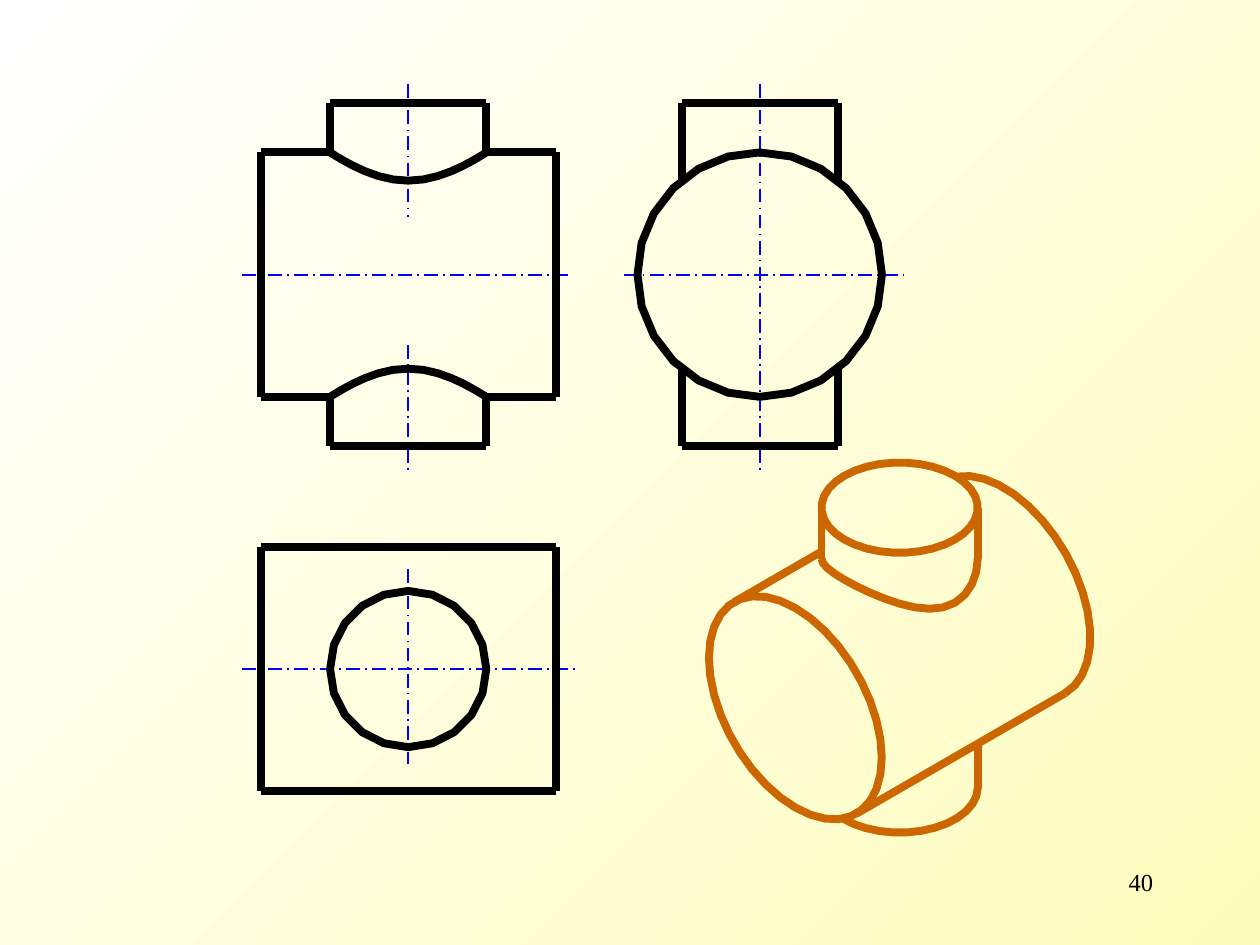
from math import cos, pi, radians, sin, sqrt

from pptx import Presentation
from pptx.dml.color import RGBColor
from pptx.enum.dml import MSO_LINE
from pptx.enum.shapes import MSO_CONNECTOR
from pptx.enum.text import PP_ALIGN
from pptx.oxml.xmlchemy import OxmlElement
from pptx.util import Inches, Pt

INK, AXIS, ORANGE = "000000", "0000FF", "CC6600"
# The solid: a main pipe of radius BIG crossed by a branch of radius SMALL
BIG, SMALL = 0.97, 0.62
LONG, TALL = 2.34, 2.72
HALF, RISE = LONG / 2, TALL / 2


def color(code):
    return RGBColor.from_string(code)


def style(line, code):
    line.color.rgb = color(code)
    line.width = Pt(1 if code == AXIS else 4.5)
    if code == AXIS:
        line.dash_style = MSO_LINE.LONG_DASH_DOT


class View:
    """A group whose points are measured from the center of its box."""

    def __init__(self, slide, left, top, width, height):
        self.shapes = slide.shapes.add_group_shape().shapes
        self.x, self.y = left + width / 2, top + height / 2

    def spot(self, point):
        return Inches(self.x + point[0]), Inches(self.y + point[1])

    def line(self, start, end, code=INK):
        edge = self.shapes.add_connector(
            MSO_CONNECTOR.STRAIGHT, *self.spot(start), *self.spot(end))
        style(edge.line, code)
        edge._element.spPr.append(OxmlElement("a:effectLst"))

    def curve(self, points, code=INK, close=False):
        spots = [self.spot(point) for point in points]
        pen = self.shapes.build_freeform(*spots[0])
        pen.add_line_segments(spots[1:], close=close)
        shape = pen.convert_to_shape()
        shape.shadow.inherit = False
        shape.fill.background()
        style(shape.line, code)

    def ring(self, radius, count):
        turns = [2 * pi * i / count for i in range(count)]
        self.curve([(radius * cos(t), radius * sin(t)) for t in turns], close=True)


def sweep(first, last, count):
    """Angles in radians, evenly spaced between two angles in degrees."""
    return [radians(first + (last - first) * i / count) for i in range(count + 1)]


def branch(view, side, inner):
    """One end of the branch: a cap and two walls, above (-1) or below (1)."""
    cap = side * RISE
    view.line((-SMALL, cap), (SMALL, cap))
    for x in (-SMALL, SMALL):
        view.line((x, cap), (x, side * inner))


def meet(turn):
    """Height at which the branch enters the main pipe."""
    return sqrt(BIG ** 2 - (SMALL * sin(turn)) ** 2)


def draw_front(slide, left, top):
    view = View(slide, left, top, LONG, TALL)
    view.line((-1.32, 0), (1.31, 0), AXIS)
    view.line((0, -1.51), (0, -0.46), AXIS)
    view.line((0, 0.56), (0, 1.58), AXIS)
    for x in (-HALF, HALF):
        view.line((x, -BIG), (x, BIG))
    for side in (-1, 1):
        branch(view, side, BIG)
        view.curve([(SMALL * cos(t), side * meet(t)) for t in sweep(180, 0, 16)])
        for end in (-1, 1):
            view.line((end * HALF, side * BIG), (end * SMALL, side * BIG))


def draw_side(slide, left, top):
    view = View(slide, left, top, 2 * BIG, TALL)
    view.line((-1.08, 0), (1.14, 0), AXIS)
    view.line((0, -1.51), (0, 1.58), AXIS)
    for side in (-1, 1):
        branch(view, side, meet(pi / 2))
    view.ring(BIG, 24)


def draw_plan(slide, left, top):
    view = View(slide, left, top, LONG, 2 * BIG)
    view.line((-1.32, 0), (1.36, 0), AXIS)
    view.line((0, -0.79), (0, 0.75), AXIS)
    for side in (-1, 1):
        view.line((-HALF, side * BIG), (HALF, side * BIG))
        view.line((side * HALF, -BIG), (side * HALF, BIG))
    view.ring(SMALL, 20)


def iso(along, depth, up):
    """Isometric projection of a point of the solid."""
    return (along + depth) / sqrt(2), (depth - along - 2 * up) / sqrt(6)


def draw_solid(slide, left, top):
    view = View(slide, left, top, 3.02, 2.94)

    def pipe(along, turns, close=False):
        view.curve([iso(along, BIG * cos(t), BIG * sin(t)) for t in turns],
                   ORANGE, close)

    def round_branch(height, turns, close=False):
        view.curve([iso(SMALL * cos(t), SMALL * sin(t), height(t)) for t in turns],
                   ORANGE, close)

    def edge(start, end):
        view.line(iso(*start), iso(*end), ORANGE)

    pipe(HALF, sweep(-45, 123, 17))
    pipe(-HALF, sweep(0, 350, 35), True)
    round_branch(meet, sweep(225, 45, 16))
    round_branch(lambda t: RISE, sweep(0, 350, 35), True)
    round_branch(lambda t: -RISE, sweep(45, 182, 13))

    rim, wall = BIG / sqrt(2), SMALL / sqrt(2)
    edge((-HALF, rim, -rim), (HALF, rim, -rim))
    edge((-HALF, -rim, rim), (-0.19, -rim, rim))
    edge((wall, wall, -RISE), (wall, wall, -0.94))
    for x in (-wall, wall):
        edge((x, x, RISE), (x, x, meet(pi / 4)))


def add_number(slide, text, left, top, width, height):
    box = slide.shapes.add_textbox(*map(Inches, (left, top, width, height)))
    box.text_frame.word_wrap = True
    para = box.text_frame.paragraphs[0]
    para.alignment = PP_ALIGN.RIGHT
    run = para.add_run()
    run.text = text
    run.font.name = "Times New Roman"
    run.font.size = Pt(14)
    run.font.color.rgb = color(INK)


def paint_back(slide):
    fill = slide.background.fill
    fill.gradient()
    fill.gradient_angle = 135
    for stop, code in zip(fill.gradient_stops, ("FEFCBC", "FFFFFF")):
        stop.color.rgb = color(code)
    fill.gradient_stops[0].position = 0
    fill.gradient_stops[1].position = 1


def main():
    deck = Presentation()
    deck.slide_width, deck.slide_height = Inches(10), Inches(7.5)
    slide = deck.slides.add_slide(deck.slide_layouts[6])
    paint_back(slide)
    draw_front(slide, 2.07, 0.82)
    draw_side(slide, 5.06, 0.82)
    draw_plan(slide, 2.07, 4.34)
    draw_solid(slide, 5.63, 3.67)
    add_number(slide, "40", 7.17, 6.83, 2.08, 0.5)
    deck.save("out.pptx")


if __name__ == "__main__":
    main()
